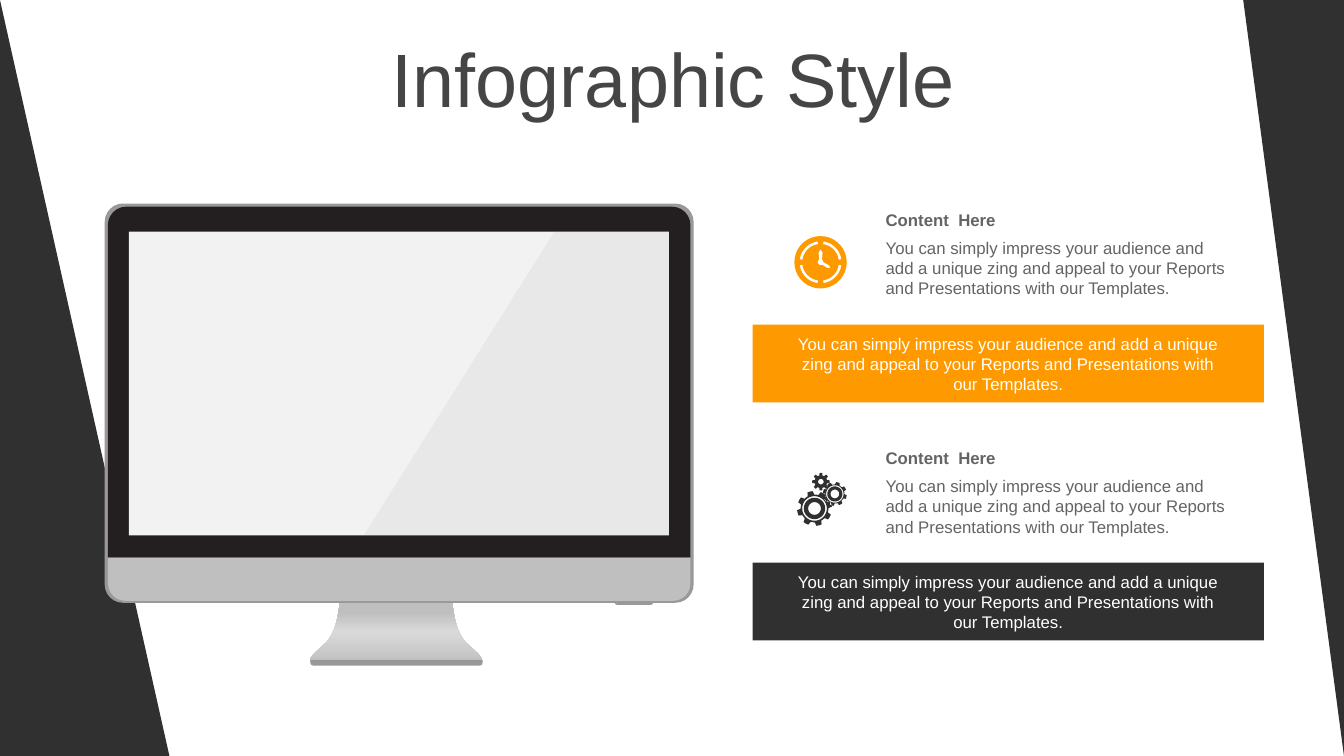
import copy
import math
import pptx
import pptx.dml.color
import pptx.enum.shapes
import pptx.enum.text
import pptx.oxml
import pptx.oxml.ns
import pptx.util

Cm = pptx.util.Cm
Pt = pptx.util.Pt
rgb = pptx.dml.color.RGBColor.from_string
MSO = pptx.enum.shapes.MSO_SHAPE
ALIGN = pptx.enum.text.PP_ALIGN
ANCHOR = pptx.enum.text.MSO_ANCHOR

DARK, ORANGE, SILVER, GREY = "303030", "FE9900", "BFBFBF", "999999"
BLURB = ("You can simply impress your audience and add a unique zing and appeal "
         "to your Reports and Presentations with our Templates.")

prs = pptx.Presentation()
prs.slide_width, prs.slide_height = Cm(33.87), Cm(19.05)
s = prs.slides.add_slide(prs.slide_layouts[5])
painted = []  # (shape, fill colour)
texts = []    # (shape, text, size, colour, bold, alignment, anchor)


def arc(cx, cy, radius, start=0, end=360, steps=36):
    """Points along an arc, angles in degrees."""
    angles = [math.radians(start + (end - start) * i / steps) for i in range(steps + 1)]
    return [(cx + radius * math.cos(a), cy + radius * math.sin(a)) for a in angles]


def outline(contours, color):
    """One freeform from closed contours in cm; inner contours cut holes."""
    contours = [[(Cm(x), Cm(y)) for x, y in points] for points in contours]
    fb = s.shapes.build_freeform(*contours[0][0], scale=1.0)
    for i, points in enumerate(contours):
        if i:
            fb.move_to(*points[0])
        fb.add_line_segments(points[1:], close=True)
    sp = fb.convert_to_shape()
    painted.append((sp, color))
    return sp


# Stand, mirrored about its axis
axis = 9.98
curves = [[(1.42, 15.16), (1.42, 15.16), (1.45, 15.85), (1.75, 16.18)],
          [(1.75, 16.18), (2.06, 16.48), (2.54, 16.76), (1.7, 16.76)]]
side = []
for p0, p1, p2, p3 in curves:
    for t in [i / 12 for i in range(13)]:
        side.append([(1 - t) ** 3 * a + 3 * t * (1 - t) ** 2 * b + 3 * t * t * (1 - t) * c + t ** 3 * d
                     for a, b, c, d in zip(p0, p1, p2, p3)])
stand = outline([[(axis + x, y) for x, y in side] + [(axis - x, y) for x, y in reversed(side)]], SILVER)

# Preset shapes: side wedges, then monitor (kind, left, top, width, height, radius, rotation, colour)
presets = [
    (MSO.RIGHT_TRIANGLE, 31.33, 0, 2.54, 19.05, None, 180, DARK),
    (MSO.RIGHT_TRIANGLE, 0, 0, 4.27, 19.05, None, 0, DARK),
    (MSO.ROUNDED_RECTANGLE, 2.64, 5.13, 14.84, 10.06, 0.46, 0, GREY),
    (MSO.ROUND_2_SAME_RECTANGLE, 15.49, 15.12, 0.97, 0.12, 0.06, 180, GREY),
    (MSO.ROUND_2_SAME_RECTANGLE, 2.72, 5.21, 14.68, 8.84, 0.46, 0, "231F20"),
    (MSO.ROUND_2_SAME_RECTANGLE, 2.72, 14.05, 14.68, 1.09, 0.44, 180, SILVER),
    (MSO.ROUND_2_SAME_RECTANGLE, 7.82, 16.63, 4.34, 0.14, 0.07, 180, "989898"),
    (MSO.RECTANGLE, 3.25, 5.84, 13.61, 7.65, None, 0, "F2F2F2"),
]
for kind, left, top, width, height, radius, rotation, color in presets:
    sp = s.shapes.add_shape(kind, Cm(left), Cm(top), Cm(width), Cm(height))
    if radius:
        sp.adjustments[0] = radius / min(width, height)
    sp.rotation = rotation
    painted.append((sp, color))

# Glare on the screen
glare = outline([[(13.97, 5.84), (16.86, 5.84), (16.86, 13.49), (9.17, 13.49)]], GREY)

# Title
title = s.shapes.title
title.left, title.top, title.width, title.height = Cm(0.89), Cm(0.94), Cm(32.16), Cm(2.01)
texts.append((title, "Infographic Style", 54, "454545", False, ALIGN.CENTER, ANCHOR.MIDDLE))

# Two content blocks: heading, description, bar
for i, color in enumerate([ORANGE, DARK]):
    shift = 6 * i
    heading = s.shapes.add_textbox(Cm(22.07), Cm(5.16 + shift), Cm(9.09), Cm(0.76))
    texts.append((heading, "Content  Here", 12, "646464", True, ALIGN.LEFT, ANCHOR.MIDDLE))
    body = s.shapes.add_textbox(Cm(22.07), Cm(5.87 + shift), Cm(9.09), Cm(1.8))
    texts.append((body, BLURB, 12, "646464", False, ALIGN.LEFT, ANCHOR.TOP))
    bar = s.shapes.add_shape(MSO.RECTANGLE, Cm(18.97), Cm(8.18 + shift), Cm(12.88), Cm(1.96))
    bar.text_frame.margin_left = bar.text_frame.margin_right = Cm(1.07)
    painted.append((bar, color))
    texts.append((bar, BLURB, 12, "FFFFFF", False, ALIGN.CENTER, ANCHOR.MIDDLE))

# Clock icon: face, four ring slots, hands
cx, cy = 20.68, 6.61
hands = [(0, -0.33), (0.05, -0.25), (0.04, -0.08), (0.08, 0), (0.22, 0.08), (0.25, 0.15),
         (0.18, 0.15), (0.05, 0.07), (-0.03, 0.07), (-0.08, 0), (-0.04, -0.08), (-0.05, -0.25)]
clock = [arc(cx, cy, 0.66), [(cx + x, cy + y) for x, y in hands]]
for quarter in range(0, 360, 90):
    clock.append(arc(cx, cy, 0.53, quarter + 8, quarter + 82, 12)
                 + arc(cx, cy, 0.46, quarter + 82, quarter + 8, 12))
outline(clock, ORANGE)

# Gears icon (centre, tip and root radius, first tooth angle, inner circles)
gears = [
    (20.47, 12.76, 0.44, 0.35, 0, [0.31, 0.27, 0.16]),
    (21.06, 12.54, 0.3, 0.24, -15, [0.22, 0.19, 0.11]),
    (20.8, 12.15, 0.22, 0.16, 15, [0.07]),
]
contours = []
for cx, cy, tip, root, first, circles in gears:
    teeth = []
    for angle in range(first, first + 360, 45):
        teeth += arc(cx, cy, root, angle - 29, angle - 14, 3) + arc(cx, cy, tip, angle - 9, angle + 9, 2)
        teeth += arc(cx, cy, root, angle + 14, angle + 16, 1)
    contours += [teeth] + [arc(cx, cy, radius) for radius in circles]
outline(contours, DARK).rotation = -15

# Fills
for sp, color in painted:
    sp.shadow.inherit = False
    sp.fill.solid()
    sp.fill.fore_color.rgb = rgb(color)
    sp.line.fill.background()

qn = pptx.oxml.ns.qn
glare_color = glare._element.spPr.find(".//" + qn("a:srgbClr"))
glare_color.append(pptx.oxml.parse_xml(
    '<a:alpha xmlns:a="http://schemas.openxmlformats.org/drawingml/2006/main" val="10000"/>'))

stand.fill.gradient()
stand.fill.gradient_angle = 90
stops = stand._element.spPr.find(".//" + qn("a:gsLst"))
stops.append(copy.deepcopy(stops[-1]))
for stop, (position, color) in zip(stand.fill.gradient_stops, [(0, SILVER), (0.53, "D9D9D9"), (0.83, SILVER)]):
    stop.position = position
    stop.color.rgb = rgb(color)

# Text
for sp, text, size, color, bold, alignment, anchor in texts:
    tf = sp.text_frame
    tf.word_wrap = True
    tf.auto_size = pptx.enum.text.MSO_AUTO_SIZE.NONE
    tf.vertical_anchor = anchor
    p = tf.paragraphs[0]
    p.alignment = alignment
    r = p.add_run()
    r.text = text
    r.font.name = "Arial"
    r.font.size = Pt(size)
    r.font.bold = bold
    r.font.color.rgb = rgb(color)

prs.save("out.pptx")
